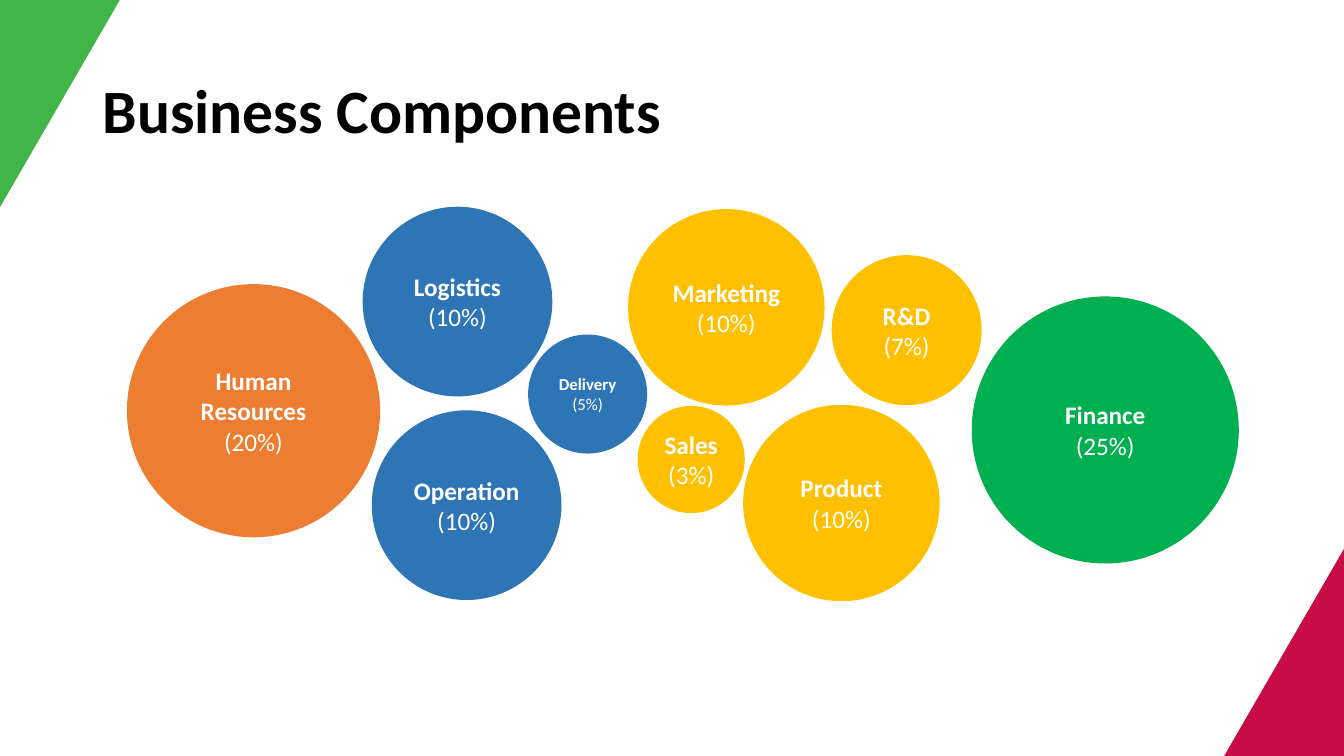
from dataclasses import dataclass

from pptx import Presentation
from pptx.dml.color import RGBColor
from pptx.enum.shapes import MSO_SHAPE
from pptx.enum.text import MSO_ANCHOR, PP_ALIGN
from pptx.util import Cm, Pt


@dataclass(frozen=True)
class Theme:
    """Colours, font and type sizes of the slide."""
    font: str = "Calibri"
    heading: str = "000000"
    label: str = "FFFFFF"
    people: str = "ED7D31"
    money: str = "00B050"
    supply: str = "2E75B6"
    market: str = "FFC000"
    top_corner: str = "42B549"
    bottom_corner: str = "C70D43"
    heading_size: int = 44
    label_size: int = 18
    small_label_size: int = 12


THEME = Theme()
SLIDE_WIDTH, SLIDE_HEIGHT = 33.87, 19.05
CORNER_WIDTH, CORNER_HEIGHT = 6.04, 5.22
LABEL_INSET = 0.13

HEADING = "Business Components"
# name, share in percent, colour, left, top, diameter (cm), label size
COMPONENTS = [
    ("Human Resources", 20, THEME.people, 3.2, 7.16, 6.38, THEME.label_size),
    ("Finance", 25, THEME.money, 24.49, 7.47, 6.73, THEME.label_size),
    ("Logistics", 10, THEME.supply, 9.14, 5.21, 4.78, THEME.label_size),
    ("Marketing", 10, THEME.market, 15.83, 5.27, 4.95, THEME.label_size),
    ("Sales", 3, THEME.market, 16.07, 10.23, 2.7, THEME.label_size),
    ("Delivery", 5, THEME.supply, 13.31, 8.43, 3.0, THEME.small_label_size),
    ("R&D", 7, THEME.market, 20.96, 6.43, 3.78, THEME.label_size),
    ("Operation", 10, THEME.supply, 9.37, 10.34, 4.78, THEME.label_size),
    ("Product", 10, THEME.market, 18.73, 10.2, 4.95, THEME.label_size),
]
# left, top, rotation, colour: each triangle is centred on a slide edge
CORNERS = [
    (-CORNER_WIDTH / 2, 0, 180, THEME.top_corner),
    (SLIDE_WIDTH - CORNER_WIDTH / 2, SLIDE_HEIGHT - CORNER_HEIGHT, 0, THEME.bottom_corner),
]


def add_filled(shapes, preset, left, top, width, height, colour):
    """Add a flat preset shape without outline, measured in centimetres."""
    filled = shapes.add_shape(preset, Cm(left), Cm(top), Cm(width), Cm(height))
    filled.shadow.inherit = False
    filled.fill.solid()
    filled.fill.fore_color.rgb = RGBColor.from_string(colour)
    filled.line.fill.background()
    return filled


def style_runs(paragraph, size, colour, bold):
    """Format every run of a paragraph."""
    for run in paragraph.runs:
        run.font.name = THEME.font
        run.font.size = Pt(size)
        run.font.bold = bold
        run.font.color.rgb = RGBColor.from_string(colour)


def add_corners(shapes):
    """Add the two decorative corner triangles."""
    for left, top, rotation, colour in CORNERS:
        corner = add_filled(shapes, MSO_SHAPE.ISOSCELES_TRIANGLE, left, top,
                            CORNER_WIDTH, CORNER_HEIGHT, colour)
        corner.rotation = rotation


def format_heading(heading):
    """Place and fill the title placeholder."""
    heading.left, heading.top = Cm(2.33), Cm(1.01)
    heading.width, heading.height = Cm(29.21), Cm(3.68)
    frame = heading.text_frame
    frame.text = HEADING
    frame.vertical_anchor = MSO_ANCHOR.MIDDLE
    line = frame.paragraphs[0]
    line.alignment = PP_ALIGN.LEFT
    line.line_spacing = 0.9
    style_runs(line, THEME.heading_size, THEME.heading, True)


def add_component(shapes, name, share, colour, left, top, diameter, size):
    """Add one bubble with its bold name above its share."""
    bubble = add_filled(shapes, MSO_SHAPE.OVAL, left, top, diameter, diameter, colour)
    frame = bubble.text_frame
    frame.text = f"{name}\n({share}%)"
    frame.word_wrap = True
    frame.vertical_anchor = MSO_ANCHOR.MIDDLE
    frame.margin_left = frame.margin_right = Cm(LABEL_INSET)
    for line, bold in zip(frame.paragraphs, (True, False)):
        line.alignment = PP_ALIGN.CENTER
        style_runs(line, size, THEME.label, bold)


def build():
    """Build and save the slide."""
    deck = Presentation()
    deck.slide_width, deck.slide_height = Cm(SLIDE_WIDTH), Cm(SLIDE_HEIGHT)
    slide = deck.slides.add_slide(deck.slide_layouts[5])
    format_heading(slide.shapes.title)
    add_corners(slide.shapes)
    bubbles = slide.shapes.add_group_shape()
    for component in COMPONENTS:
        add_component(bubbles.shapes, *component)
    deck.save("out.pptx")


build()
